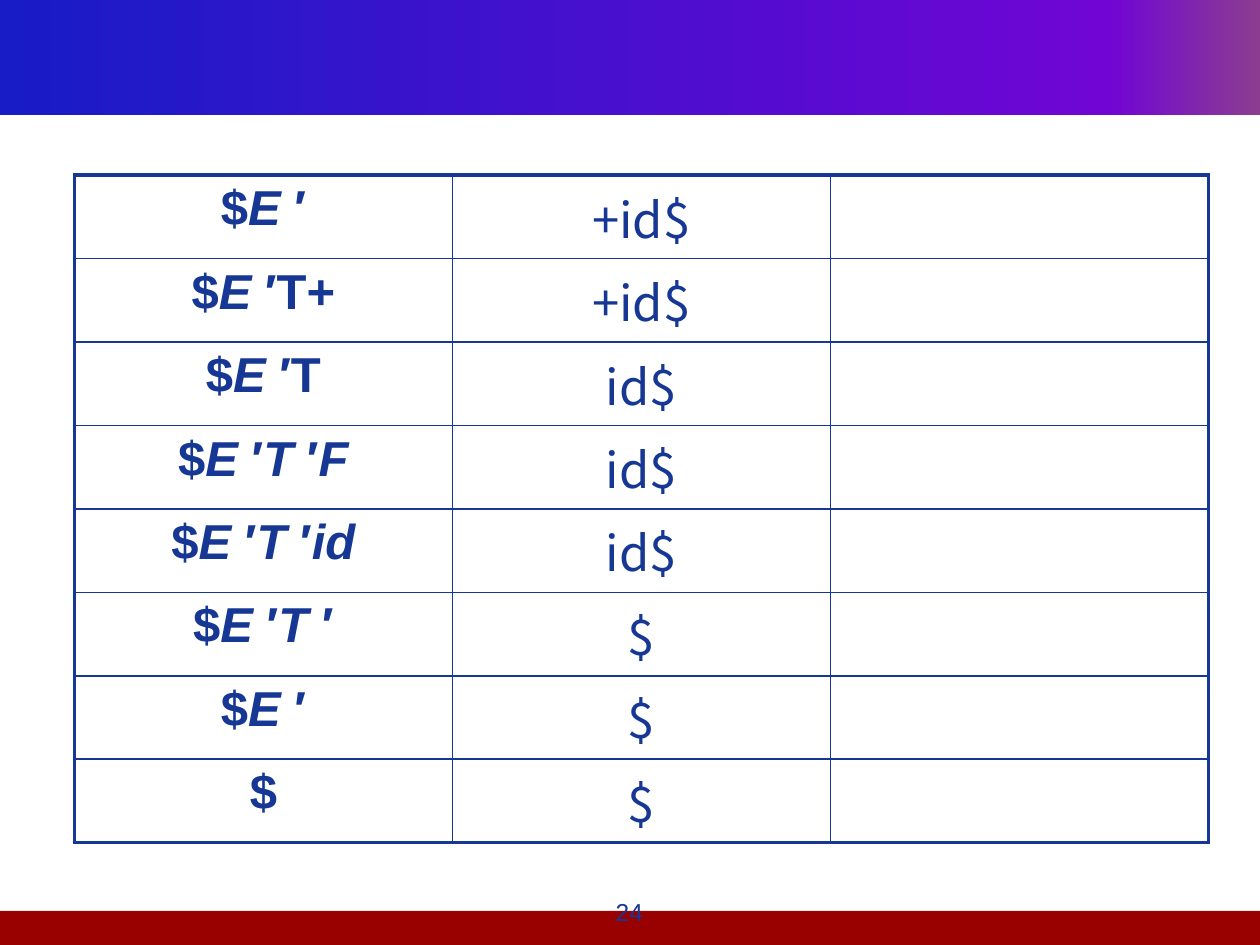
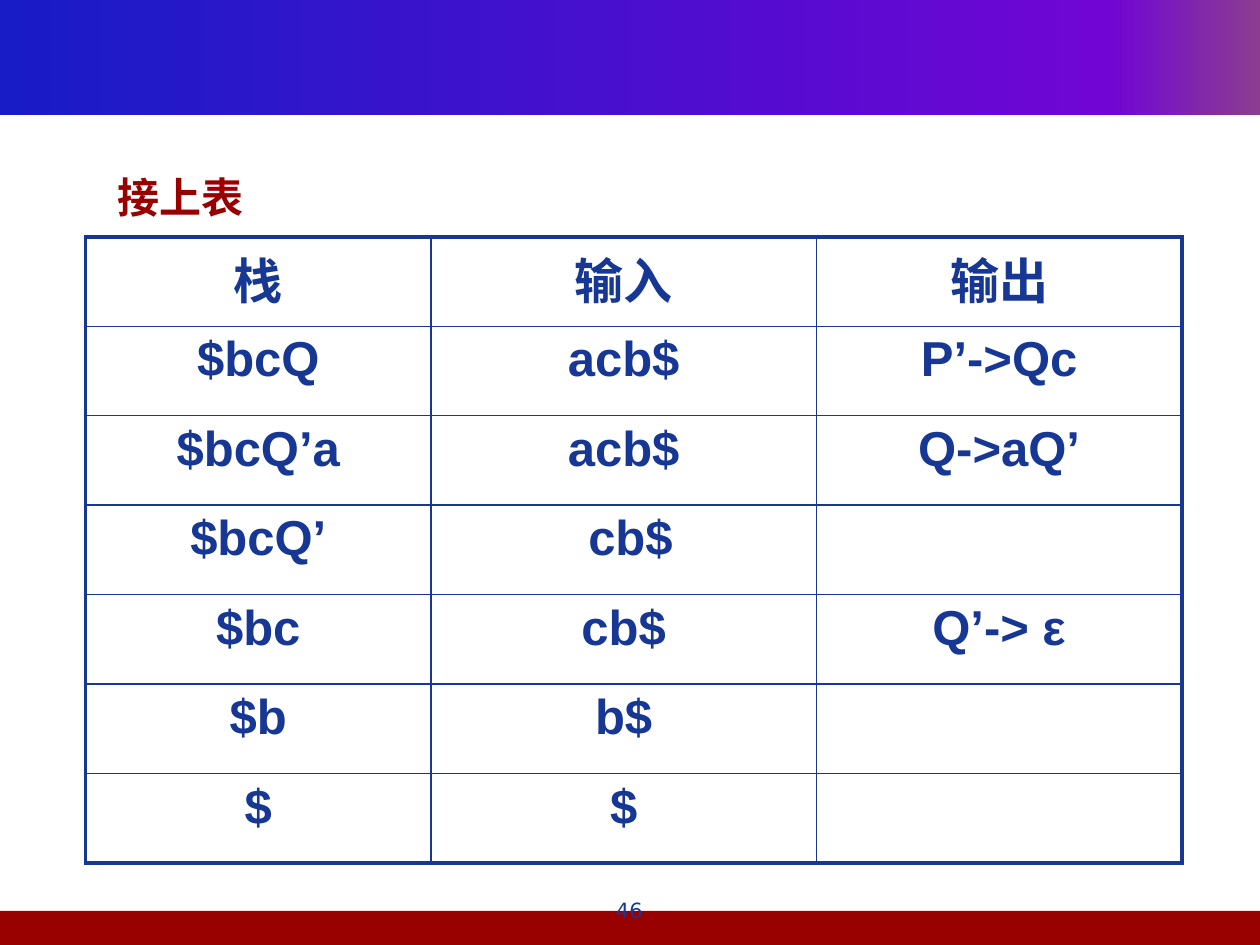
from copy import deepcopy

from lxml.etree import SubElement
from pptx import Presentation
from pptx.dml.color import RGBColor
from pptx.enum.shapes import MSO_SHAPE as Shape
from pptx.enum.text import MSO_ANCHOR as Anchor, MSO_AUTO_SIZE as AutoSize, PP_ALIGN as Align
from pptx.oxml.ns import qn
from pptx.util import Inches, Pt

WIDTH, HEIGHT = 10, 7.5
NAVY, RED, WHITE = "163794", "990000", "FFFFFF"
BAND_STOPS = [(0, "181CC7"), (0.88, "7005D4"), (1, "8C3D91")]
THICK, THIN = 2.25, 1
CJK = "Noto Sans CJK SC"

STACK_STEPS = [
    ("$*E *′", "+id$", ""),
    ("$*E *′T+", "+id$", ""),
    ("$*E *′T", "id$", ""),
    ("$*E *′*T *′*F*", "id$", ""),
    ("$*E *′*T *′*id*", "id$", ""),
    ("$*E *′*T *′", "$", ""),
    ("$*E *′", "$", ""),
    ("$", "$", ""),
]
CONTINUED_STEPS = [
    ("栈", "输入", "输出"),
    ("$bcQ", "acb$", "P’->Qc"),
    ("$bcQ’a", "acb$", "Q->aQ’"),
    ("$bcQ’", " cb$", ""),
    ("$bc", "cb$", "Q’-> ε"),
    ("$b", "b$", ""),
    ("$", "$", ""),
]


def colour(hex_code):
    return RGBColor.from_string(hex_code)


def inches(*lengths):
    return [Inches(length) for length in lengths]


def write(frame, text, size=28, font="Arial", ink=NAVY, bold=False, align=Align.CENTER):
    paragraph = frame.paragraphs[0]
    paragraph.alignment = align
    for index, part in enumerate(text.split("*")):
        if part:
            run = paragraph.add_run()
            run.text = part
            run.font.size, run.font.name = Pt(size), font
            run.font.bold, run.font.italic = bold, index % 2 == 1
            run.font.color.rgb = colour(ink)


def add_band(slide, left, top, width, height):
    band = slide.shapes.add_shape(Shape.RECTANGLE, *inches(left, top, width, height))
    band.shadow.inherit = False
    band.line.fill.background()
    return band


def paint_gradient(band, stops):
    band.fill.gradient()
    band.fill.gradient_angle = 0
    first = band.element.xpath(".//a:gs")[0]
    first.addnext(deepcopy(first))
    for stop, (position, hex_code) in zip(band.fill.gradient_stops, stops):
        stop.position = position
        stop.color.rgb = colour(hex_code)


def share_bands(prs, slide):
    header = add_band(slide, 0, 0, WIDTH, 0.91)
    paint_gradient(header, BAND_STOPS)
    footer = add_band(slide, -0.04, 7.23, WIDTH + 0.04, 0.27)
    footer.fill.solid()
    footer.fill.fore_color.rgb = colour(RED)
    master_tree = prs.slide_master.element.cSld.spTree
    for position, band in enumerate((header, footer), start=2):
        master_tree.insert(position, band.element)


def set_borders(cell, **widths):
    properties = cell._tc.get_or_add_tcPr()
    for position, (side, width) in enumerate(widths.items()):
        line = SubElement(properties, qn(f"a:ln{side}"), w=str(Pt(width)))
        fill = SubElement(line, qn("a:solidFill"))
        SubElement(fill, qn("a:srgbClr"), val=NAVY)
        properties.insert(position, line)


def add_parse_table(slide, steps, left, top, columns, row_height, input_style):
    last_row, last_column = len(steps) - 1, len(columns) - 1
    table = slide.shapes.add_table(
        len(steps), len(columns),
        *inches(left, top, sum(columns), row_height * len(steps))).table
    table.first_row = table.horz_banding = False
    for column, width in zip(table.columns, columns):
        column.width = Inches(width)
    for r, step in enumerate(steps):
        table.rows[r].height = Inches(row_height)
        for c, text in enumerate(step):
            cell = table.cell(r, c)
            cell.fill.solid()
            cell.fill.fore_color.rgb = colour(WHITE)
            set_borders(
                cell,
                L=THIN if c else THICK,
                R=THICK if c == last_column else THIN,
                T=THIN if r else THICK,
                B=THICK if r == last_row else THIN)
            style = input_style if c == 1 else {"bold": True}
            write(cell.text_frame, text, **style)


def add_page_number(slide, number, **style):
    box = slide.shapes.add_textbox(*inches(3.83, 7.07, 2.33, 0.35))
    box.text_frame.word_wrap = True
    write(box.text_frame, number, **style)


def set_title(slide, text):
    title = slide.shapes.title
    title.left, title.top, title.width, title.height = inches(0.83, 1.31, 1.21, 0.5)
    frame = title.text_frame
    frame.word_wrap = False
    frame.auto_size = AutoSize.NONE
    frame.vertical_anchor = Anchor.TOP
    write(frame, text, size=24, font="Roboto", ink=RED, bold=True, align=Align.LEFT)


def main():
    prs = Presentation()
    prs.slide_width, prs.slide_height = inches(WIDTH, HEIGHT)
    title_only, blank = prs.slide_layouts[5], prs.slide_layouts[6]

    steps_slide = prs.slides.add_slide(blank)
    share_bands(prs, steps_slide)
    add_parse_table(steps_slide, STACK_STEPS, 0.59, 1.39, [3, 3, 3], 0.63, {"font": CJK})
    add_page_number(steps_slide, "24", size=14)

    continued_slide = prs.slides.add_slide(title_only)
    set_title(continued_slide, "接上表")
    add_parse_table(continued_slide, CONTINUED_STEPS, 0.68, 1.88,
                    [2.74, 3.06, 2.9], 0.71, {"bold": True})
    add_page_number(continued_slide, "46", size=12, font="DejaVu Sans")

    prs.save("out.pptx")


if __name__ == "__main__":
    main()
